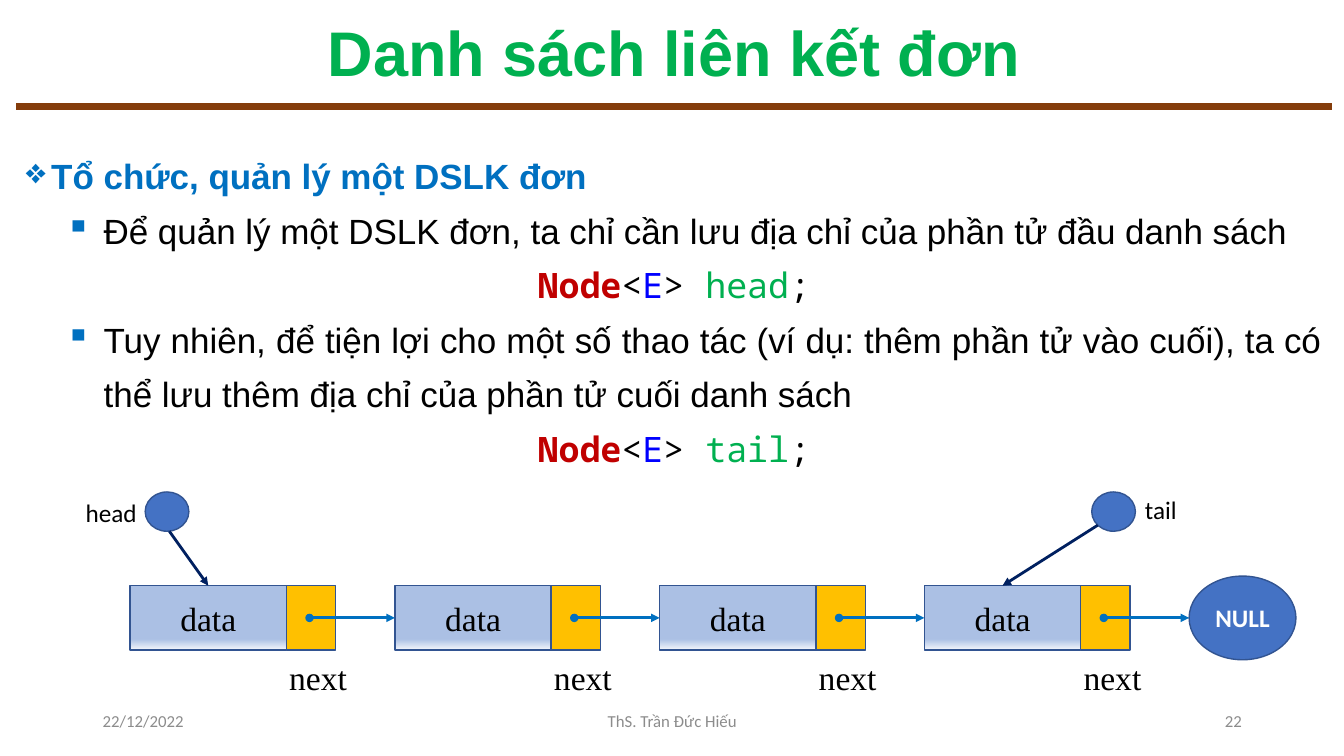
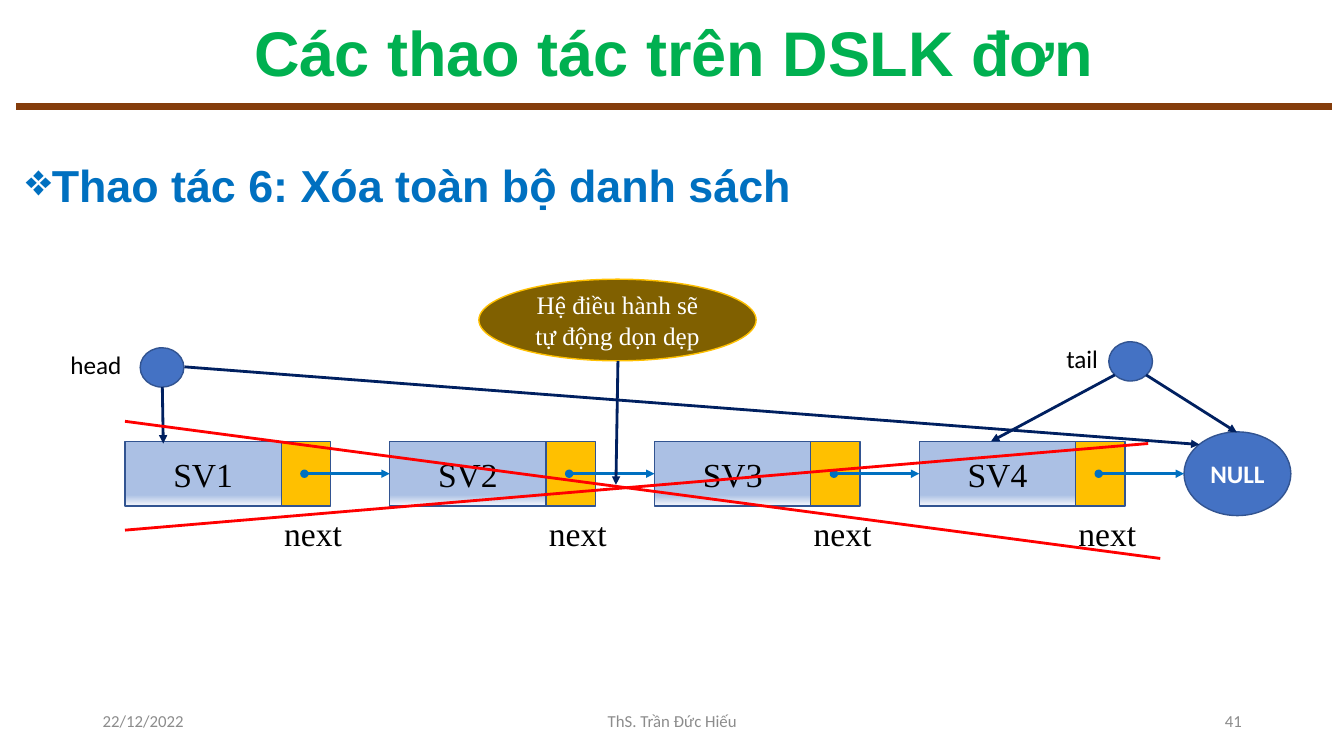
import lxml.etree
import pptx
import pptx.dml.color
import pptx.enum.shapes
import pptx.enum.text
import pptx.oxml.ns
import pptx.util

RGBColor = pptx.dml.color.RGBColor
Align = pptx.enum.text.PP_ALIGN
Anchor = pptx.enum.text.MSO_ANCHOR
Preset = pptx.enum.shapes.MSO_SHAPE
qn = pptx.oxml.ns.qn

GREEN = RGBColor(0x00, 0xB0, 0x50)
BLUE = RGBColor(0x00, 0x70, 0xC0)
PURE_BLUE = RGBColor(0x00, 0x00, 0xFF)
NAVY = RGBColor(0x00, 0x20, 0x60)
BROWN = RGBColor(0x84, 0x3C, 0x0B)
OLIVE = RGBColor(0x80, 0x60, 0x00)
GOLD = RGBColor(0xFF, 0xC0, 0x00)
RED = RGBColor(0xFF, 0x00, 0x00)
DARK_RED = RGBColor(0xC0, 0x00, 0x00)
GRAY = RGBColor(0x8C, 0x8C, 0x8C)
BLACK = RGBColor(0x00, 0x00, 0x00)
WHITE = RGBColor(0xFF, 0xFF, 0xFF)
DISC = RGBColor(0x44, 0x72, 0xC4)
OUTLINE = RGBColor(0x32, 0x54, 0x91)
PALE = RGBColor(0xAB, 0xC0, 0xE4)
NODE_STOPS = [(74, PALE), (83, PALE), (100, RGBColor(0xF6, 0xF8, 0xFC)),
              (100, RGBColor(0xC7, 0xD5, 0xED))]

SANS, SERIF, UI, MONO = "Arial", "Times New Roman", "Calibri", "Noto Sans Mono"

# All places are percentages of the slide's width and height.
LEFT, CONTENT_WIDTH = 1.2, 97.88
PITCH, DATA_WIDTH, LINK_WIDTH, NODE_HEIGHT = 19.7, 11.63, 3.68, 8.53
NULL_WIDTH, NULL_HEIGHT = 7.95, 11.07
DOT_SIZE = (3.25, 5.2)


class Painter:
    """Holds the deck, the current page and the shared style."""

    def __init__(self):
        self.deck = pptx.Presentation()
        self.deck.slide_width = pptx.util.Inches(13.333)
        self.deck.slide_height = pptx.util.Inches(7.5)
        self.page = None

    def point(self, x, y):
        return (round(self.deck.slide_width * x / 100),
                round(self.deck.slide_height * y / 100))

    def new_page(self, title, number):
        self.page = self.deck.slides.add_slide(self.deck.slide_layouts[6])
        self.line((LEFT, 14.13), (LEFT + CONTENT_WIDTH, 14.13), BROWN, 5)
        box = self.text_box((LEFT, 2, CONTENT_WIDTH, 10.8))
        para = self.add_text(box, [(title, GREEN)], 45, SANS, True, Align.CENTER)
        para.line_spacing = 0.9
        for text, x, width, align in (
                ("22/12/2022", 6.9, 22.5, Align.LEFT),
                ("ThS. Trần Đức Hiếu", 33.15, 33.75, Align.CENTER),
                (number, 70.65, 22.5, Align.RIGHT)):
            box = self.text_box((x, 92.67, width, 5.33))
            self.add_text(box, [(text, GRAY)], 12, UI, align=align)

    def text_box(self, place, anchor=Anchor.MIDDLE, wrap=True):
        box = self.page.shapes.add_textbox(*self.point(*place[:2]), *self.point(*place[2:]))
        box.text_frame.word_wrap = wrap
        box.text_frame.vertical_anchor = anchor
        return box

    def add_text(self, box, spans, size, font, bold=False, align=Align.LEFT):
        """Fill the first paragraph, or add one when it already has text."""
        frame = box.text_frame
        para = frame.add_paragraph() if frame.text else frame.paragraphs[0]
        para.alignment = align
        for text, color, *weight in spans:
            span = para.add_run()
            span.text = text
            span.font.name = font
            span.font.size = pptx.util.Pt(size)
            span.font.bold = weight[0] if weight else bold
            span.font.color.rgb = color
        return para

    def body(self):
        return self.text_box((LEFT, 18.13, CONTENT_WIDTH, 80.67), Anchor.TOP)

    def heading(self, box, text, size):
        para = self.add_text(box, [(text, BLUE)], size, SANS, True)
        para.line_spacing = 1.3
        para.space_before = pptx.util.Pt(10)
        self.bullet(para, "❖", 0.25, 0.25)

    def item(self, box, text):
        para = self.add_text(box, [(text, BLACK)], 25, SANS, align=Align.JUSTIFY)
        para.line_spacing = 1.3
        self.bullet(para, "▪", 0.77, 0.38)

    def declaration(self, box, name):
        spans = [("Node", DARK_RED, True), ("<", BLACK), ("E", PURE_BLUE),
                 ("> ", BLACK), (name, GREEN), (";", BLACK)]
        para = self.add_text(box, spans, 25, MONO, align=Align.CENTER)
        para.line_spacing = 1.3

    def bullet(self, para, mark, margin, hanging):
        props = para._p.get_or_add_pPr()
        props.set("marL", str(pptx.util.Inches(margin)))
        props.set("indent", str(-pptx.util.Inches(hanging)))
        color = lxml.etree.SubElement(props, qn("a:buClr"))
        lxml.etree.SubElement(color, qn("a:srgbClr"), val=str(BLUE))
        lxml.etree.SubElement(props, qn("a:buChar"), char=mark)

    def label(self, text, x, y, width, size, font):
        box = self.text_box((x, y, width, size * 0.29), Anchor.TOP, wrap=False)
        box.text_frame.auto_size = pptx.enum.text.MSO_AUTO_SIZE.SHAPE_TO_FIT_TEXT
        self.add_text(box, [(text, BLACK)], size, font)

    def shape(self, preset, place, fill, outline=OUTLINE):
        shape = self.page.shapes.add_shape(
            preset, *self.point(*place[:2]), *self.point(*place[2:]))
        shape.shadow.inherit = False
        shape.line.color.rgb = outline
        shape.line.width = pptx.util.Pt(1)
        if isinstance(fill, RGBColor):
            shape.fill.solid()
            shape.fill.fore_color.rgb = fill
        else:
            self.gradient(shape, fill)
        return shape

    def gradient(self, shape, stops):
        """Give the shape a top-to-bottom gradient of (percent, colour) stops."""
        shape.fill.gradient()
        shape.fill.gradient_angle = 270
        stop_list = shape._element.spPr.find(qn("a:gradFill")).find(qn("a:gsLst"))
        stop_list.clear()
        for percent, color in stops:
            stop = lxml.etree.SubElement(stop_list, qn("a:gs"), pos=str(percent * 1000))
            lxml.etree.SubElement(stop, qn("a:srgbClr"), val=str(color))

    def line(self, start, end, color, width=2, head=None, tail=None):
        line = self.page.shapes.add_connector(
            pptx.enum.shapes.MSO_CONNECTOR.STRAIGHT, *self.point(*start), *self.point(*end))
        line.line.color.rgb = color
        line.line.width = pptx.util.Pt(width)
        outline = line.line._get_or_add_ln()
        for tag, kind in (("a:headEnd", head), ("a:tailEnd", tail)):
            if kind:
                lxml.etree.SubElement(outline, qn(tag), type=kind)
        lxml.etree.SubElement(line._element.spPr, qn("a:effectLst"))
        return line

    def arrow(self, start, end):
        return self.line(start, end, NAVY, tail="triangle")

    def dot(self, x, y):
        self.shape(Preset.OVAL, (x, y, *DOT_SIZE), DISC)

    def chain(self, names, x, y):
        """Draw linked nodes ending in NULL; return the data cells."""
        middle = y + NODE_HEIGHT / 2
        cells = []
        for index, name in enumerate(names):
            left = x + index * PITCH
            cell = self.shape(Preset.RECTANGLE, (left, y, DATA_WIDTH, NODE_HEIGHT), NODE_STOPS)
            self.add_text(cell, [(name, BLACK)], 24, SERIF, align=Align.CENTER)
            cells.append(cell)
            self.shape(Preset.RECTANGLE,
                       (left + DATA_WIDTH, y, LINK_WIDTH, NODE_HEIGHT), GOLD)
            self.label("next", left + 11.1, y + 8.8, 5.85, 24, SERIF)
        null = self.shape(Preset.OVAL, (x + len(names) * PITCH, middle - NULL_HEIGHT / 2,
                                        NULL_WIDTH, NULL_HEIGHT), DISC)
        self.add_text(null, [("NULL", WHITE)], 18, UI, True, Align.CENTER)
        for index in range(len(names)):
            left = x + index * PITCH
            link = self.line((left + 13.35, middle), (left + PITCH, middle),
                             BLUE, head="oval", tail="triangle")
            if index + 1 < len(cells):
                link.end_connect(cells[index + 1], 1)
        return cells


def structure_page(painter):
    painter.new_page("Danh sách liên kết đơn", "22")
    box = painter.body()
    painter.heading(box, "Tổ chức, quản lý một DSLK đơn", 25)
    painter.item(box, "Để quản lý một DSLK đơn, ta chỉ cần lưu địa chỉ của phần tử "
                      "đầu danh sách")
    painter.declaration(box, "head")
    painter.item(box, "Tuy nhiên, để tiện lợi cho một số thao tác (ví dụ: thêm phần tử "
                      "vào cuối), ta có thể lưu thêm địa chỉ của phần tử cuối danh sách")
    painter.declaration(box, "tail")

    top = 77.47
    cells = painter.chain(["data"] * 4, 9.68, top)
    painter.dot(10.8, 65.07)
    painter.dot(81.23, 65.07)
    painter.arrow((12.6, 70.27), (15.5, top)).end_connect(cells[0], 0)
    painter.arrow((81.68, 69.47), (74.6, top)).end_connect(cells[-1], 0)
    painter.label("head", 5.63, 65.07, 5.4, 18, UI)
    painter.label("tail", 84.45, 64.8, 3.9, 18, UI)


def clearing_page(painter):
    painter.new_page("Các thao tác trên DSLK đơn", "41")
    painter.heading(painter.body(), "Thao tác 6: Xóa toàn bộ danh sách", 32)
    painter.chain(["SV1", "SV2", "SV3", "SV4"], 9.3, 58.4)
    painter.dot(10.43, 46)
    painter.dot(82.5, 45.2)
    painter.label("head", 4.5, 45.6, 5.4, 18, UI)
    painter.label("tail", 78.6, 44.8, 3.9, 18, UI)
    for start, end in (((12.08, 51.2), (12.15, 58.67)),
                       ((82.95, 49.6), (73.73, 58.4)),
                       ((13.73, 48.53), (89.25, 58.8)),
                       ((85.28, 49.6), (92.03, 57.2))):
        painter.arrow(start, end)
    painter.line((9.3, 55.73), (86.33, 73.87), RED)
    painter.line((9.3, 70.13), (85.43, 58.67), RED)
    remark = painter.shape(Preset.OVAL, (35.63, 36.93, 20.63, 10.8), OLIVE, GOLD)
    painter.add_text(remark, [("Hệ điều hành sẽ tự động dọn dẹp", WHITE)], 18, SERIF,
                     align=Align.CENTER)
    painter.arrow((45.98, 47.73), (45.83, 64.13))


def main():
    painter = Painter()
    structure_page(painter)
    clearing_page(painter)
    painter.deck.save("out.pptx")


if __name__ == "__main__":
    main()
